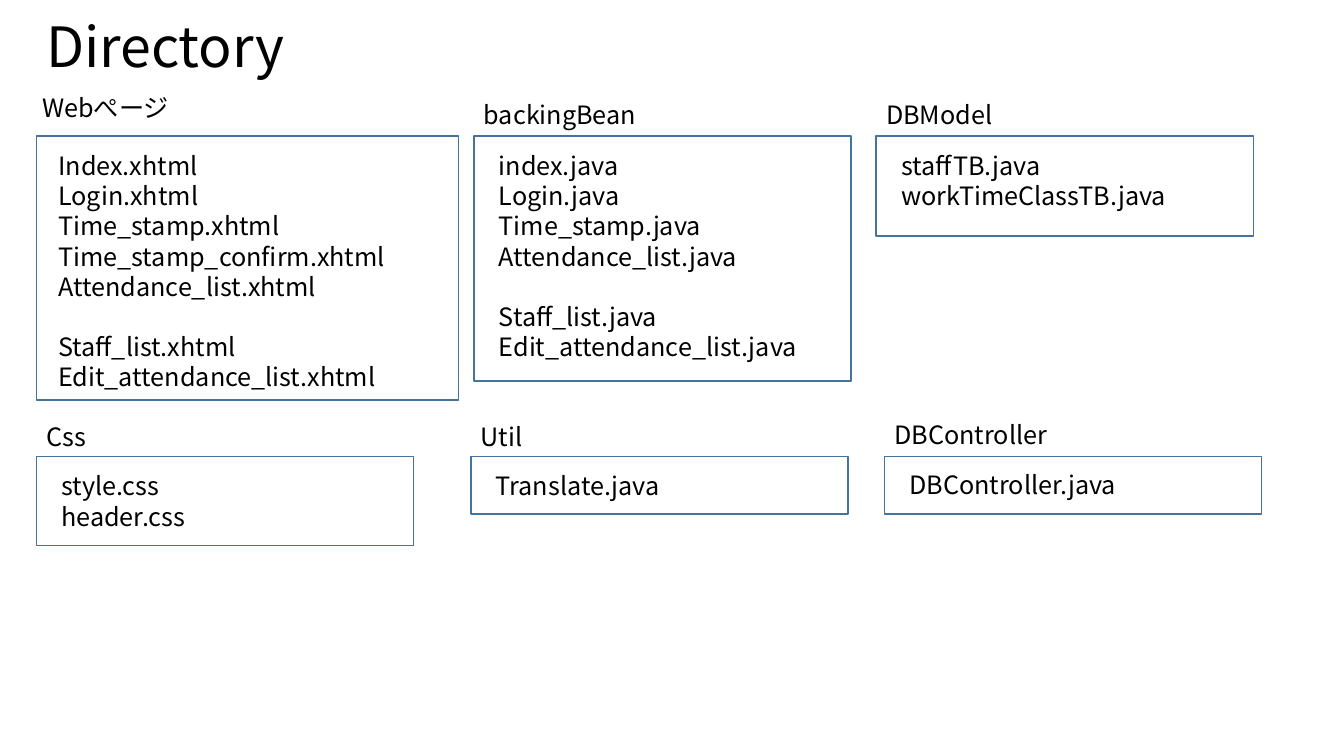
from pptx import Presentation, util as u
from pptx.dml.color import RGBColor
from pptx.enum import shapes, text

FONT = "Noto Sans CJK JP"
SIZE = 18
GAP = 21.6
TOP, LOW = 1.35, 4.53
WIDE = 3.74
LINE = 0.3

PAGES = ["Index.xhtml", "Login.xhtml", "Time_stamp.xhtml",
         "Time_stamp_confirm.xhtml", "Attendance_list.xhtml", "",
         "Staff_list.xhtml", "Edit_attendance_list.xhtml"]
BEANS = ["index.java", "Login.java", "Time_stamp.java",
         "Attendance_list.java", "",
         "Staff_list.java", "Edit_attendance_list.java"]
GROUPS = [
    ("Webぺージ", 0.36, TOP, 4.19, 2.62, (-0.04, -0.48), (0.12, 0.09), PAGES),
    ("Util", 4.67, LOW, WIDE, 0.57, (0, -0.4), (0.15, 0.09),
     ["Translate.java"]),
    ("Css", 0.36, LOW, WIDE, 0.88, (0, -0.4), (0.15, 0.09),
     ["style.css", "header.css"]),
    ("backingBean", 4.7, TOP, WIDE, 2.43, (0, -0.41), (0.15, 0.09), BEANS),
    ("DBModel", 8.69, TOP, WIDE, 0.99, (0, -0.41), (0.15, 0.09),
     ["staffTB.java", "workTimeClassTB.java"]),
    ("DBController", 8.77, LOW, WIDE, 0.57, (0, -0.42), (0.15, 0.08),
     ["DBController.java"]),
]


def color(code):
    return RGBColor.from_string(code)


def place(*sides):
    return [u.Inches(side) for side in sides]


def style(para, size):
    para.font.name = FONT
    para.font.size = u.Pt(size)
    para.font.color.rgb = color("000000")


def label(slide, lines, left, top, width, height, size=SIZE):
    frame = slide.shapes.add_textbox(*place(left, top, width, height)).text_frame
    frame.word_wrap = True
    para, gap = frame.paragraphs[0], 0
    for line in lines:
        if not line:
            gap = GAP
            continue
        if para.text:
            para = frame.add_paragraph()
        para.text = line
        para.space_before = u.Pt(gap)
        style(para, size)
        gap = 0
    return frame


def panel(slide, left, top, width, height):
    box = slide.shapes.add_shape(shapes.MSO_SHAPE.RECTANGLE,
                                 *place(left, top, width, height))
    box.shadow.inherit = False
    box.fill.solid()
    box.fill.fore_color.rgb = color("FFFFFF")
    box.line.color.rgb = color("43739E")
    box.line.width = u.Pt(1)


def group(slide, name, left, top, width, height, head, body, files):
    panel(slide, left, top, width, height)
    label(slide, [name], left + head[0], top + head[1], 2.08, 0.4)
    label(slide, files, left + body[0], top + body[1], width - 0.3,
          0.1 + LINE * len(files))


def title(slide, words):
    frame = label(slide, [words], 0.36, 0.23, 6.98, 0.53, 39.6)
    frame.vertical_anchor = text.MSO_ANCHOR.MIDDLE
    frame.paragraphs[0].line_spacing = 0.9


def main():
    deck = Presentation()
    deck.slide_width, deck.slide_height = place(13.33, 7.5)
    slide = deck.slides.add_slide(deck.slide_layouts[6])
    for item in GROUPS:
        group(slide, *item)
    title(slide, "Directory")
    deck.save("out.pptx")


if __name__ == "__main__":
    main()
